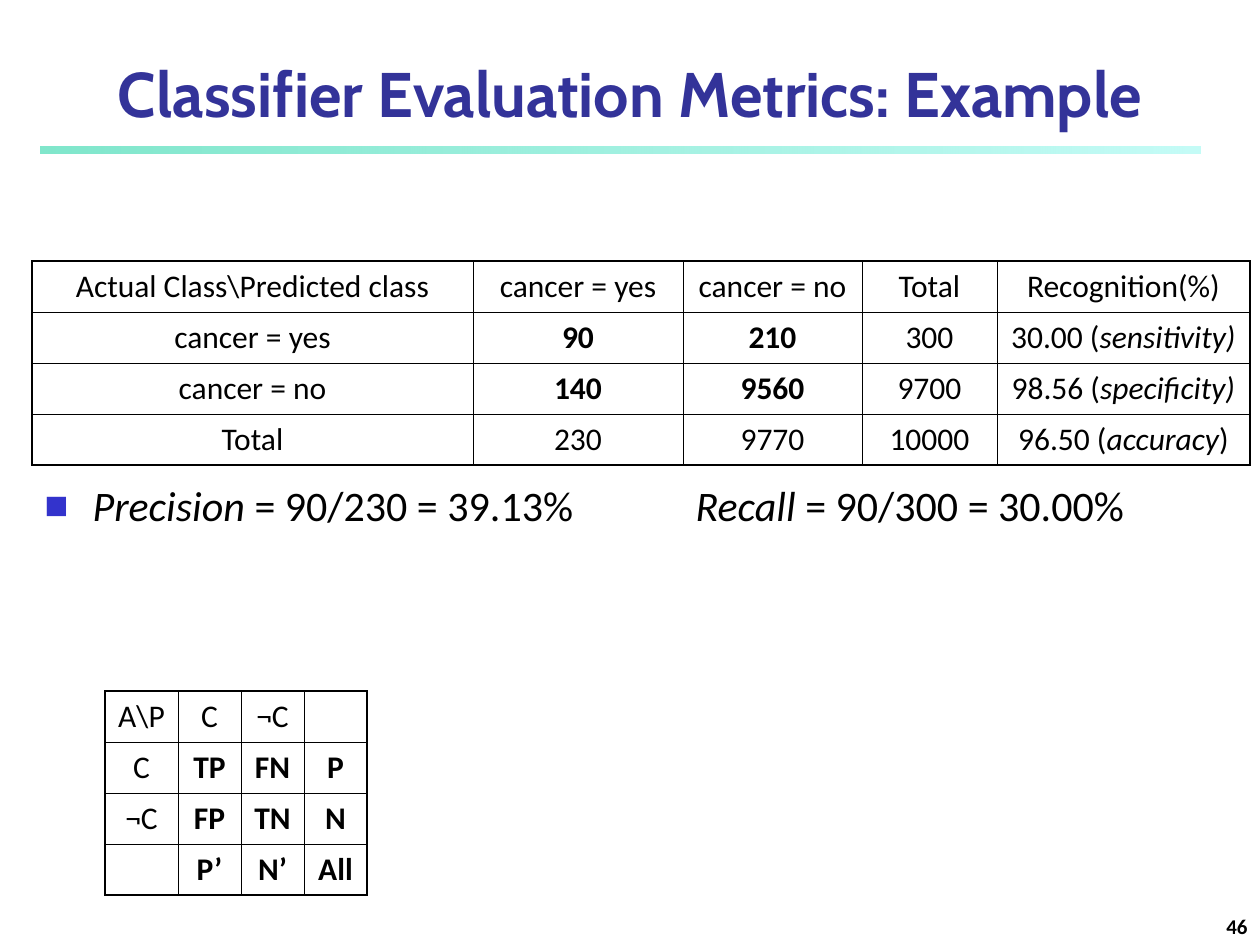
from typing import NamedTuple

from lxml import etree
from pptx import Presentation
from pptx import util as u
from pptx.dml.color import RGBColor
from pptx.enum import shapes, text
from pptx.oxml import ns

PX = u.Inches(1) / 126
COLORS = {
    "title": "333399", "text": "000000", "bullet": "3333CC", "border": "000000",
    "rule_start": "00CE98", "rule_end": "8FF9EF",
}
BODY_FONT, TITLE_FONT = "Calibri", "Cabin"
ROW_HEIGHT = 51
OUTER_LINE, INNER_LINE = u.Pt(1.08), u.Pt(0.45)


class Span(NamedTuple):
    text: str
    bold: bool = False
    italic: bool = False


class Grid(NamedTuple):
    left: int
    top: int
    columns: list[int]
    rows: list[list[list[Span]]]


def px(length: int) -> u.Emu:
    return u.Emu(round(length * PX))


def plain(words: str) -> list[Span]:
    return [Span(words)]


def bold(words: str) -> list[Span]:
    return [Span(words, bold=True)]


def rate(value: str, name: str) -> list[Span]:
    return [Span(f"{value} ("), Span(f"{name})", italic=True)]


def color(name: str) -> RGBColor:
    return RGBColor.from_string(COLORS[name])


def sub(parent, tag: str, **attributes):
    return etree.SubElement(parent, ns.qn(tag), attributes)


def place(shape, left: int, top: int, width: int, height: int) -> None:
    shape.left, shape.top = px(left), px(top)
    shape.width, shape.height = px(width), px(height)


def style(font, size: int, name: str = BODY_FONT, tint: str = "text") -> None:
    font.size, font.name = u.Pt(size), name
    font.color.rgb = color(tint)


def write_spans(para, spans: list[Span], size: int) -> None:
    for span in spans:
        run = para.add_run()
        run.text = span.text
        style(run.font, size)
        run.font.bold, run.font.italic = span.bold, span.italic


def add_border(cell, tag: str, width: int) -> None:
    line = sub(cell._tc.get_or_add_tcPr(), tag, w=str(int(width)))
    sub(sub(line, "a:solidFill"), "a:srgbClr", val=COLORS["border"])


def add_grid(page, grid: Grid) -> None:
    """Draw a table with thick outer and thin inner borders."""
    row_count, column_count = len(grid.rows), len(grid.columns)
    table = page.shapes.add_table(
        row_count, column_count, px(grid.left), px(grid.top),
        px(sum(grid.columns)), px(row_count * ROW_HEIGHT)).table
    table.first_row = table.horz_banding = False
    for column, width in zip(table.columns, grid.columns):
        column.width = px(width)
    for r, row in enumerate(grid.rows):
        table.rows[r].height = px(ROW_HEIGHT)
        for c, spans in enumerate(row):
            cell = table.cell(r, c)
            edges = {"a:lnL": c == 0, "a:lnR": c == column_count - 1,
                     "a:lnT": r == 0, "a:lnB": r == row_count - 1}
            for tag, outer in edges.items():
                add_border(cell, tag, OUTER_LINE if outer else INNER_LINE)
            cell.fill.background()
            para = cell.text_frame.paragraphs[0]
            para.alignment = text.PP_ALIGN.CENTER
            if spans:
                write_spans(para, spans, 18)
            else:
                para.font.size = u.Pt(18)


def add_rule(page) -> None:
    """Draw the translucent gradient bar under the title."""
    bar = page.shapes.add_shape(shapes.MSO_SHAPE.RECTANGLE,
                                px(41), px(147), px(1160), px(7))
    bar.shadow.inherit = False
    bar.line.fill.background()
    bar.fill.gradient()
    bar.fill.gradient_angle = 0
    for stop, name in zip(bar.fill.gradient_stops, ("rule_start", "rule_end")):
        stop.color.rgb = color(name)
    for tint, alpha in zip(bar._element.spPr.iter(ns.qn("a:srgbClr")), (50, 52)):
        sub(tint, "a:alpha", val=str(alpha * 1000))


def fill_title(title) -> None:
    place(title, 0, 32, 1260, 104)
    frame = title.text_frame
    frame.text = "Classifier Evaluation Metrics: Example"
    frame.auto_size = text.MSO_AUTO_SIZE.NONE
    frame.vertical_anchor = text.MSO_ANCHOR.BOTTOM
    para = frame.paragraphs[0]
    para.alignment = text.PP_ALIGN.CENTER
    style(para.runs[0].font, 36, TITLE_FONT, "title")
    para.runs[0].font.bold = True


def fill_body(body) -> None:
    place(body, 32, 473, 1165, 84)
    body.text_frame.auto_size = text.MSO_AUTO_SIZE.NONE
    para = body.text_frame.paragraphs[0]
    properties = para._p.get_or_add_pPr()
    properties.set("marL", str(px(48)))
    properties.set("indent", str(px(-48)))
    sub(sub(properties, "a:buClr"), "a:srgbClr", val=COLORS["bullet"])
    sub(properties, "a:buSzPct", val="60000")
    sub(properties, "a:buFont", typeface=BODY_FONT)
    sub(properties, "a:buChar", char="■")
    sub(sub(properties, "a:tabLst"), "a:tab", pos=str(px(651)), algn="l")
    para.space_before = u.Pt(0)
    write_spans(para, [
        Span("Precision", italic=True), Span(" = 90/230 = 39.13%\t"),
        Span("Recall", italic=True), Span(" = 90/300 = 30.00%"),
    ], 24)


def add_page_number(page) -> None:
    box = page.shapes.add_textbox(px(998), px(892), px(262), px(53))
    frame = box.text_frame
    frame.word_wrap = True
    frame.vertical_anchor = text.MSO_ANCHOR.BOTTOM
    para = frame.paragraphs[0]
    para.alignment = text.PP_ALIGN.RIGHT
    write_spans(para, bold("46"), 12)


CANCER_GRID = Grid(32, 261, [441, 210, 179, 135, 253], [
    [plain(words) for words in (
        "Actual Class\\Predicted class", "cancer = yes", "cancer = no",
        "Total", "Recognition(%)")],
    [plain("cancer = yes"), bold("90"), bold("210"), plain("300"),
     rate("30.00", "sensitivity")],
    [plain("cancer = no"), bold("140"), bold("9560"), plain("9700"),
     rate("98.56", "specificity")],
    [plain("Total"), plain("230"), plain("9770"), plain("10000"),
     [Span("96.50 ("), Span("accuracy", italic=True), Span(")")]],
])
LEGEND_GRID = Grid(105, 691, [73, 63, 63, 63], [
    [plain("A\\P"), plain("C"), plain("¬C"), []],
    [plain("C"), bold("TP"), bold("FN"), bold("P")],
    [plain("¬C"), bold("FP"), bold("TN"), bold("N")],
    [[], bold("P’"), bold("N’"), bold("All")],
])


def main() -> None:
    deck = Presentation()
    deck.slide_width, deck.slide_height = px(1260), px(945)
    page = deck.slides.add_slide(deck.slide_layouts[1])
    add_rule(page)
    fill_title(page.shapes.title)
    fill_body(page.placeholders[1])
    add_page_number(page)
    for grid in (CANCER_GRID, LEGEND_GRID):
        add_grid(page, grid)
    deck.save("out.pptx")


if __name__ == "__main__":
    main()
